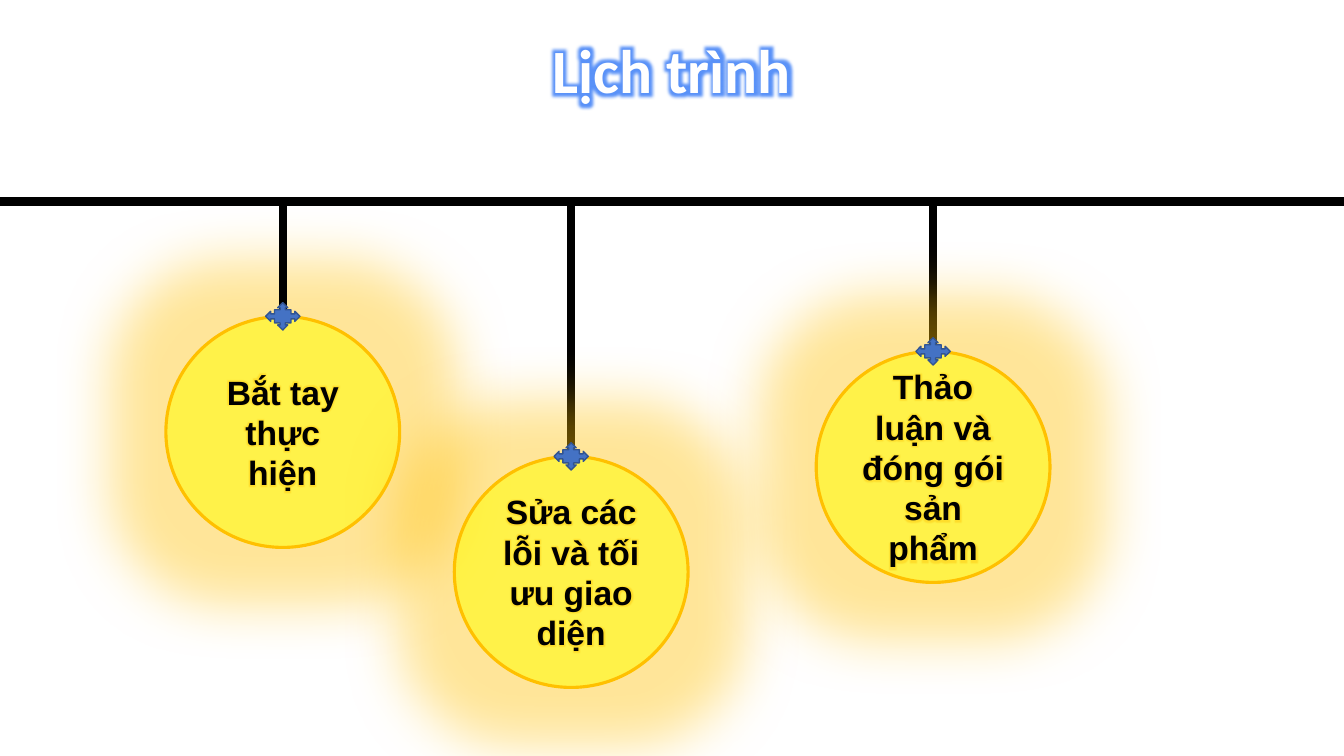
"""Build a schedule slide with three glowing circles hanging from a bar."""
from lxml.etree import SubElement
from pptx import Presentation
from pptx.dml.color import RGBColor
from pptx.enum.shapes import MSO_CONNECTOR as Connector, MSO_SHAPE as Shape
from pptx.enum.text import MSO_ANCHOR as Anchor, PP_ALIGN as Align
from pptx.oxml.ns import qn
from pptx.util import Pt

BLACK = RGBColor(0x00, 0x00, 0x00)
WHITE = RGBColor(0xFF, 0xFF, 0xFF)
YELLOW = RGBColor(0xFF, 0xFF, 0x00)
AMBER = RGBColor(0xFF, 0xC0, 0x00)
BLUE = RGBColor(0x44, 0x72, 0xC4)
DARK_BLUE = RGBColor(0x32, 0x54, 0x91)
TITLE_GLOW = RGBColor(0x5A, 0x92, 0xF8)

WIDTH, HEIGHT = 960, 540
BAR_TOP = 144
CIRCLE_WIDTH, CIRCLE_HEIGHT = 167, 165
HOOK_WIDTH, HOOK_HEIGHT = 24.5, 19.5
DROPS = [
    ("Bắt tay thực hiện", 202, 226),
    ("Sửa các lỗi và tối ưu giao diện", 408, 326),
    ("Thảo luận và đóng gói sản phẩm", 666.5, 251),
]


def add_opacity(color, percent):
    SubElement(color, qn("a:alpha"), val=str(percent * 1000))


def add_glow(effects, color, radius, percent):
    glow = SubElement(effects, qn("a:glow"), rad=str(Pt(radius)))
    add_opacity(SubElement(glow, qn("a:srgbClr"), val=str(color)), percent)


def write_text(frame, text, font, size, color, glow):
    frame.word_wrap = True
    frame.vertical_anchor = Anchor.MIDDLE
    paragraph = frame.paragraphs[0]
    paragraph.alignment = Align.CENTER
    run = paragraph.add_run()
    run.text = text
    run.font.name, run.font.size, run.font.bold = font, Pt(size), True
    run.font.color.rgb = color
    properties = run.font._element
    effects = SubElement(properties, qn("a:effectLst"))
    properties.find(qn("a:solidFill")).addnext(effects)
    add_glow(effects, *glow)
    return paragraph


class SlideBuilder:
    def __init__(self, slide):
        self.slide = slide
        self.font = "Arial"
        self.title_font = "Calibri"

    def title(self, text):
        title = self.slide.shapes.title
        title.left, title.top, title.width, title.height = Pt(0), Pt(0), Pt(WIDTH), Pt(104.4)
        paragraph = write_text(title.text_frame, text, font=self.title_font, size=44,
                               color=WHITE, glow=(TITLE_GLOW, 10, 100))
        paragraph.line_spacing = 0.9

    def line(self, x1, y1, x2, y2):
        line = self.slide.shapes.add_connector(Connector.STRAIGHT, Pt(x1), Pt(y1), Pt(x2), Pt(y2))
        line.line.color.rgb, line.line.width = BLACK, Pt(6)
        SubElement(line._element.spPr, qn("a:effectLst"))

    def shape(self, kind, center, top, width, height, fill, outline, weight):
        shape = self.slide.shapes.add_shape(
            kind, Pt(center - width / 2), Pt(top), Pt(width), Pt(height))
        shape.shadow.inherit = False
        shape.fill.solid()
        shape.fill.fore_color.rgb = fill
        shape.line.color.rgb, shape.line.width = outline, Pt(weight)
        return shape

    def circle(self, text, center, top):
        circle = self.shape(Shape.FLOWCHART_CONNECTOR, center, top, CIRCLE_WIDTH,
                            CIRCLE_HEIGHT, YELLOW, AMBER, 2.25)
        properties = circle._element.spPr
        add_opacity(properties.find(qn("a:solidFill")).find(qn("a:srgbClr")), 52)
        add_glow(properties.find(qn("a:effectLst")), AMBER, 80, 40)
        write_text(circle.text_frame, text, font=self.font, size=24,
                   color=BLACK, glow=(AMBER, 5, 40))

    def hook(self, center, middle):
        self.shape(Shape.QUAD_ARROW_CALLOUT, center, middle - HOOK_HEIGHT / 2,
                   HOOK_WIDTH, HOOK_HEIGHT, BLUE, DARK_BLUE, 1)


def main():
    presentation = Presentation()
    presentation.slide_width, presentation.slide_height = Pt(WIDTH), Pt(HEIGHT)
    builder = SlideBuilder(presentation.slides.add_slide(presentation.slide_layouts[5]))
    builder.title("Lịch trình")
    builder.line(0, BAR_TOP, WIDTH, BAR_TOP)
    first, *others = DROPS
    builder.circle(*first)
    for _, center, top in DROPS:
        builder.line(center, BAR_TOP, center, top)
    for drop in others:
        builder.circle(*drop)
    for _, center, top in DROPS:
        builder.hook(center, top)
    presentation.save("out.pptx")


if __name__ == "__main__":
    main()
